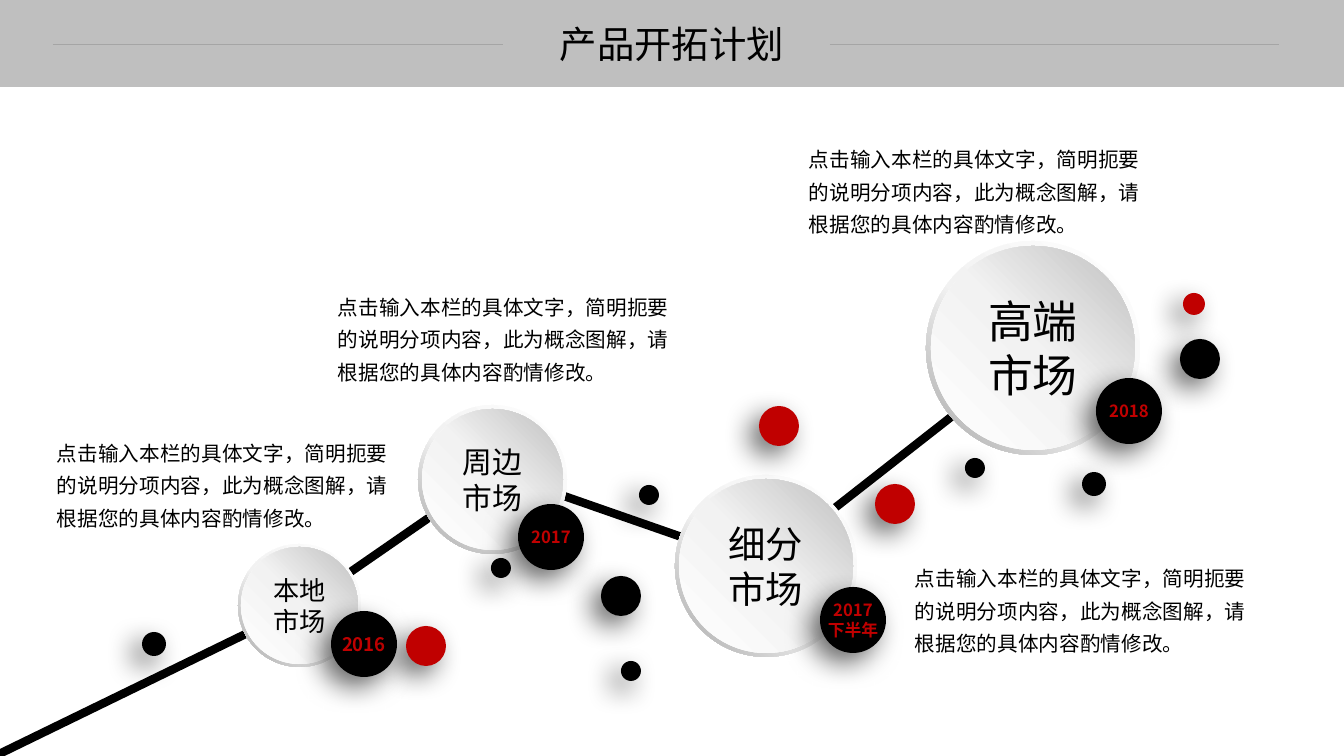
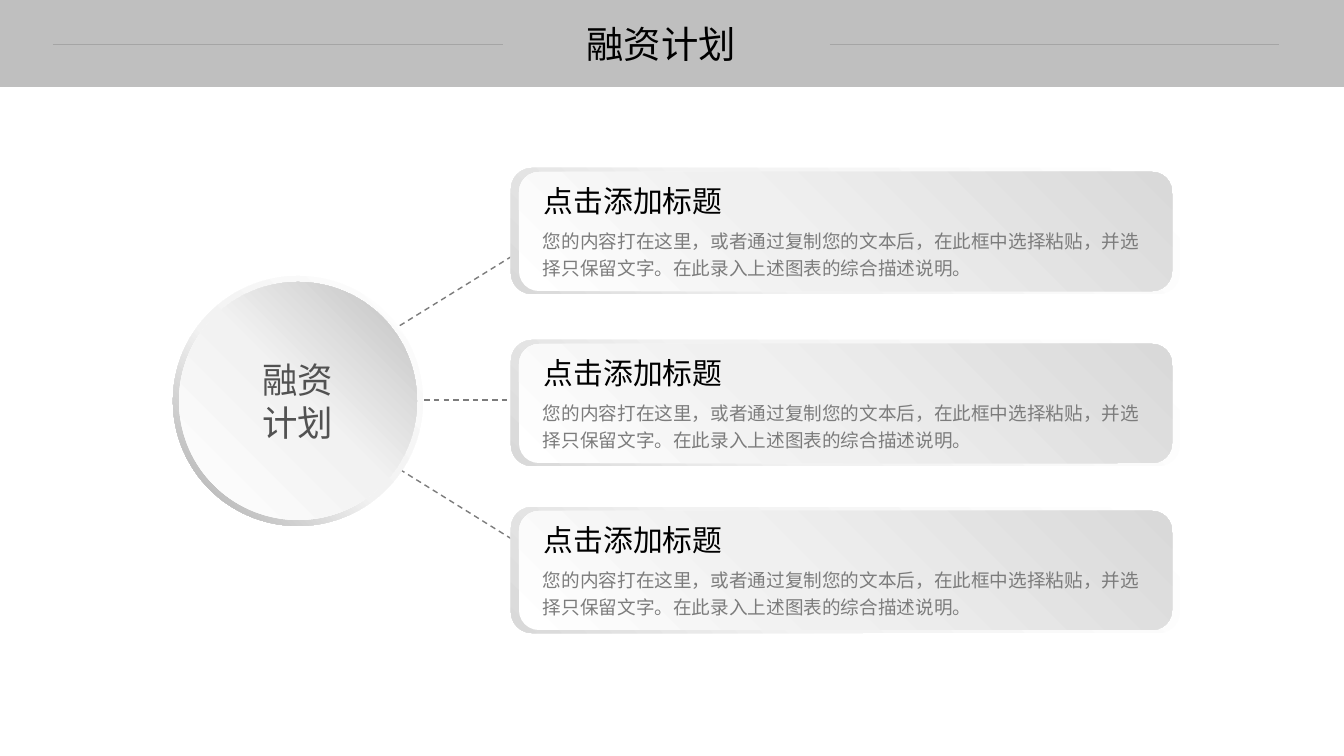
import itertools

import lxml.etree
import pptx
import pptx.dml.color
import pptx.enum.dml
import pptx.enum.shapes
import pptx.enum.text
import pptx.oxml.ns
import pptx.util

SLIDE_WIDTH, SLIDE_HEIGHT = 1344, 756
EMU_PER_PX = 12192000 / SLIDE_WIDTH
FONT = "Noto Sans CJK SC"
BLACK, RED, BAND, RULE = "000000", "C00000", "BFBFBF", "A5A5A5"
GRAY, DARK_GRAY = "7C7C7C", "525252"

# Each gradient is its angle in degrees and its stops
RIM_GRADIENT = 135, [(0, "FFFFFF"), (55, "F2F2F2"), (100, "A6A6A6")]
DISC_GRADIENT = 315, [(0, "FFFFFF"), (51, "F2F2F2"), (100, "BFBFBF")]
CARD_RIM_GRADIENT = 135, [(0, "FFFFFF"), (62, "F2F2F2"), (100, "D9D9D9")]
CARD_GRADIENT = 315, [(0, "FFFFFF"), (42, "F0F0F0"), (100, "D9D9D9")]

Shape = pptx.enum.shapes.MSO_SHAPE
Align = pptx.enum.text.PP_ALIGN
Anchor = pptx.enum.text.MSO_ANCHOR

DESCRIPTION = "点击输入本栏的具体文字，简明扼要的说明分项内容，此为概念图解，请根据您的具体内容酌情修改。"
CARD_HEADING = "点击添加标题"
CARD_BODY = "您的内容打在这里，或者通过复制您的文本后，在此框中选择粘贴，并选择只保留文字。在此录入上述图表的综合描述说明。"

ROUTE = [(-5, 756), (297, 609), (495, 472), (762, 565), (1029, 356)]
MARKETS = [  # left, top, size, lines, points
    (238, 544, 123, ["本地", "市场"], 18.7),
    (418, 405, 149, ["周边", "市场"], 21.3),
    (675, 475, 182, ["细分", "市场"], 26.7),
    (926, 241, 214, ["高端", "市场"], 32),
]
DESCRIPTION_CORNERS = [(328, 283), (47, 429), (905, 554), (799, 135)]
YEARS = [  # left, top, lines, points
    (331, 611, ["2016"], 13.3),
    (820, 587, ["2017", "下半年"], 12),
    (518, 504, ["2017"], 12),
    (1096, 378, ["2018"], 12),
]
DOTS = [  # left, top, size, colour
    (639, 485, 20, BLACK), (601, 576, 40, BLACK), (621, 661, 20, BLACK),
    (406, 626, 40, RED), (491, 558, 20, BLACK), (875, 484, 40, RED),
    (1082, 472, 24, BLACK), (965, 458, 20, BLACK), (759, 406, 40, RED),
    (1180, 339, 40, BLACK), (1183, 293, 22, RED), (142, 632, 24, BLACK),
]
SPOKES = [((375, 454), (523, 546)), ((395, 400), (510, 400)), ((375, 341), (514, 255))]
CARD_TOPS = [168, 340, 507]


def px(*lengths):
    return [pptx.util.Emu(round(length * EMU_PER_PX)) for length in lengths]


def rgb(color):
    return pptx.dml.color.RGBColor.from_string(color)


def add_element(parent, tag, **attributes):
    element = lxml.etree.SubElement(parent, pptx.oxml.ns.qn(tag))
    for name, value in attributes.items():
        element.set(name, str(value))
    return element


def fill_gradient(shape, angle, stops):
    shape.fill.gradient()
    shape.fill.gradient_angle = 360 - angle
    stop_list = shape.element.spPr.find(".//" + pptx.oxml.ns.qn("a:gsLst"))
    for old_stop in list(stop_list):
        stop_list.remove(old_stop)
    for position, color in stops:
        stop = add_element(stop_list, "a:gs", pos=position * 1000)
        add_element(stop, "a:srgbClr", val=color)


def add_shape(slide, kind, box, fill):
    """Add a borderless shape; fill is a colour or a gradient."""
    shape = slide.shapes.add_shape(kind, *px(*box))
    shape.shadow.inherit = False
    shape.line.fill.background()
    if isinstance(fill, str):
        shape.fill.solid()
        shape.fill.fore_color.rgb = rgb(fill)
    else:
        fill_gradient(shape, *fill)
    return shape


def add_line(slide, start, end, color, points, dashed=False):
    line = slide.shapes.add_connector(
        pptx.enum.shapes.MSO_CONNECTOR.STRAIGHT, *px(*start, *end))
    line.line.color.rgb = rgb(color)
    line.line.width = pptx.util.Pt(points)
    if dashed:
        line.line.dash_style = pptx.enum.dml.MSO_LINE.DASH
    add_element(line.element.spPr, "a:effectLst")
    return line


def write(shape, lines, points, color, align=Align.CENTER, bold=False,
          spacing=1, anchor=Anchor.MIDDLE, wrap=True):
    frame = shape.text_frame
    frame.text = "\n".join(lines)
    frame.word_wrap = wrap
    frame.vertical_anchor = anchor
    for paragraph in frame.paragraphs:
        paragraph.alignment = align
        paragraph.line_spacing = spacing
        paragraph.font.size = pptx.util.Pt(points)
        paragraph.font.bold = bold
        paragraph.font.color.rgb = rgb(color)
        paragraph.font.name = FONT
    for properties in shape.element.iter(pptx.oxml.ns.qn("a:defRPr")):
        add_element(properties, "a:ea", typeface=FONT)


def add_text(slide, box, text, points, color, **style):
    write(slide.shapes.add_textbox(*px(*box)), [text], points, color,
          align=Align.LEFT, **style)


def clear_insets(shape):
    frame = shape.text_frame
    frame.margin_left = frame.margin_right = frame.margin_top = frame.margin_bottom = 0


def add_slide(presentation, title, title_width):
    slide = presentation.slides.add_slide(presentation.slide_layouts.get_by_name("Title Only"))
    placeholder = slide.shapes.title
    placeholder.left, placeholder.top, placeholder.width, placeholder.height = px(
        545, 16, title_width, 55)
    write(placeholder, [title], 26.7, BLACK)
    return slide


def move_header_to_layout(slide):
    """Draw the title band and its rules, then keep them on the shared layout."""
    layout = slide.slide_layout
    for placeholder in list(layout.placeholders):
        if placeholder.placeholder_format.type != pptx.enum.shapes.PP_PLACEHOLDER.TITLE:
            layout.shapes.element.remove(placeholder.element)
    header = [add_shape(slide, Shape.RECTANGLE, (0, 0, SLIDE_WIDTH, 87), BAND)]
    for left, right in [(53, 503), (830, 1279)]:
        header.append(add_line(slide, (left, 45), (right, 45), RULE, 0.75))
    for position, part in enumerate(header, start=2):
        layout.shapes.element.insert(position, part.element)


def add_disc(slide, left, top, size, lines, points, color=BLACK):
    """Draw a raised disc with a shaded rim and a centred label."""
    rim = add_shape(slide, Shape.DONUT, (left, top, size, size), RIM_GRADIENT)
    rim.adjustments[0] = 0.05
    inset = round(size * 0.024)
    inner = size - 2 * inset
    disc = add_shape(slide, Shape.OVAL, (left + inset, top + inset, inner, inner), DISC_GRADIENT)
    clear_insets(disc)
    write(disc, lines, points, color, wrap=False)


def add_dot(slide, left, top, size, color):
    dot = add_shape(slide, Shape.OVAL, (left, top, size, size), color)
    effects = dot.element.spPr.find(pptx.oxml.ns.qn("a:effectLst"))
    shadow = add_element(effects, "a:outerShdw", blurRad=pptx.util.Pt(20),
                         dist=pptx.util.Pt(10), dir=135 * 60000, algn="tr", rotWithShape=0)
    shadow_color = add_element(shadow, "a:srgbClr", val=BLACK)
    add_element(shadow_color, "a:alpha", val=60000)
    return dot


def add_year(slide, left, top, lines, points):
    badge = add_dot(slide, left, top, 66, BLACK)
    clear_insets(badge)
    write(badge, lines, points, RED, bold=True, wrap=False)


def add_card(slide, left, top):
    add_shape(slide, Shape.ROUNDED_RECTANGLE, (left, top, 669, 126), CARD_RIM_GRADIENT)
    add_shape(slide, Shape.ROUNDED_RECTANGLE, (left + 8, top + 4, 653, 119), CARD_GRADIENT)
    add_text(slide, (left + 22, top + 40, 630, 88), CARD_BODY, 13.3, GRAY, spacing=1.2)
    add_text(slide, (left + 23, top + 10, 264, 46), CARD_HEADING, 21.3, BLACK)


def build_market_slide(slide):
    for start, end in itertools.pairwise(ROUTE):
        add_line(slide, start, end, BLACK, 6)
    for market in MARKETS:
        add_disc(slide, *market)
    for left, top in DESCRIPTION_CORNERS:
        add_text(slide, (left, top, 360, 107), DESCRIPTION, 14.7, BLACK,
                 spacing=1.3, anchor=Anchor.TOP)
    for year in YEARS:
        add_year(slide, *year)
    for dot in DOTS:
        add_dot(slide, *dot)


def build_financing_slide(slide):
    for start, end in SPOKES:
        add_line(slide, start, end, GRAY, 1, dashed=True)
    add_disc(slide, 173, 276, 250, ["融资", "计划"], 25.3, DARK_GRAY)
    for top in CARD_TOPS:
        add_card(slide, 511, top)


def main():
    presentation = pptx.Presentation()
    presentation.slide_width, presentation.slide_height = px(SLIDE_WIDTH, SLIDE_HEIGHT)
    market_slide = add_slide(presentation, "产品开拓计划", 254)
    move_header_to_layout(market_slide)
    build_market_slide(market_slide)
    build_financing_slide(add_slide(presentation, "融资计划", 233))
    presentation.save("out.pptx")


if __name__ == "__main__":
    main()
